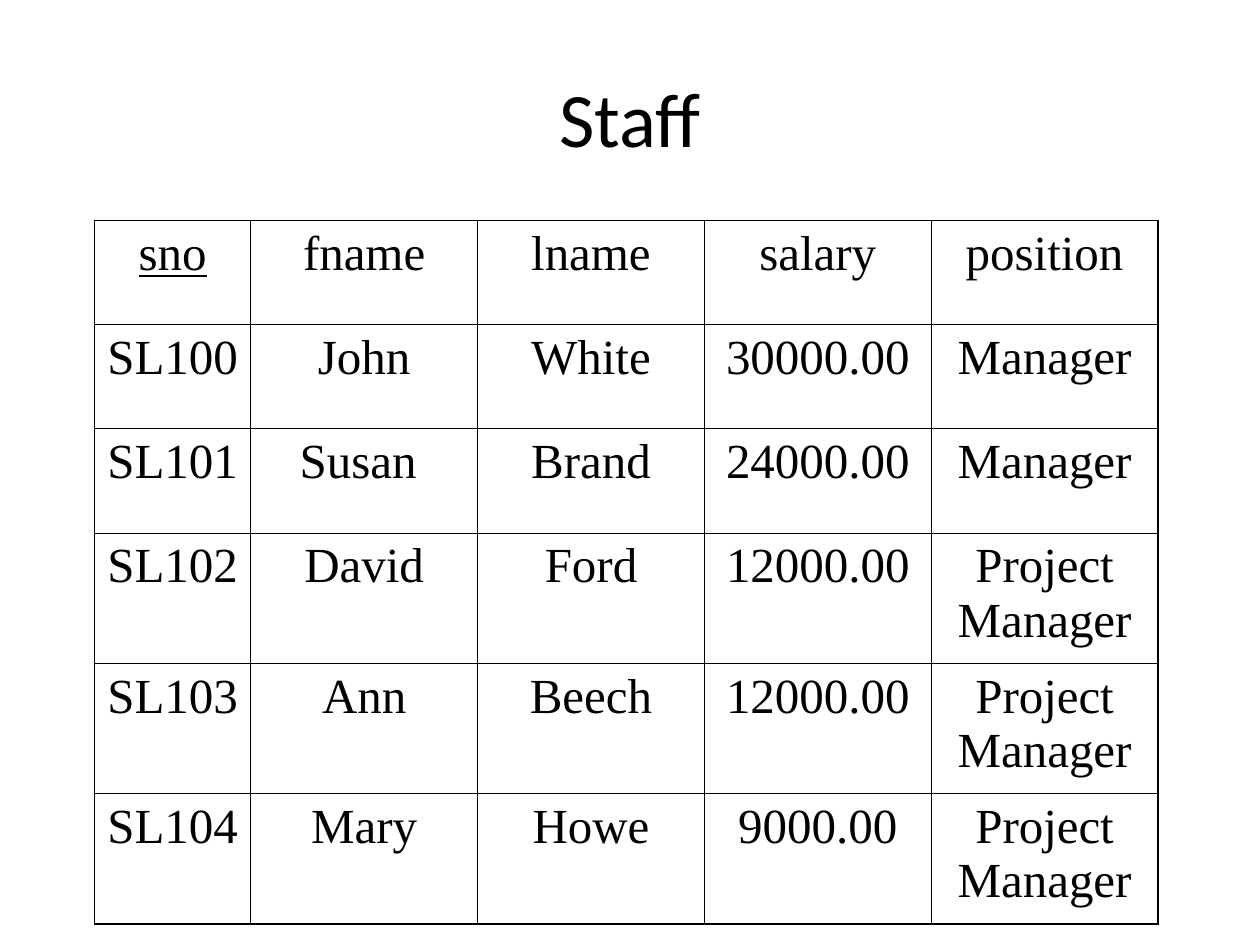
import pptx
import pptx.dml.color
import pptx.enum.text
import pptx.util
from lxml import etree
from pptx.oxml.ns import qn

Pt = pptx.util.Pt

TITLE = "Staff"
STAFF = [
    ("sno", "fname", "lname", "salary", "position"),
    ("SL100", "John", "White", "30000.00", "Manager"),
    ("SL101", "Susan ", "Brand", "24000.00", "Manager"),
    ("SL102", "David", "Ford", "12000.00", "Project Manager"),
    ("SL103", "Ann", "Beech", "12000.00", "Project Manager"),
    ("SL104", "Mary", "Howe", "9000.00", "Project Manager"),
]
KEY_FIELD = "sno"
COLUMN_WIDTHS = [89.3] + [129.6] * 4
ROW_HEIGHTS = [59.5] * 3 + [74.4] * 3
INK = "000000"
OUTER_LINE, INNER_LINE = 1.08, 0.45


def color(value):
    return pptx.dml.color.RGBColor.from_string(value)


def write(frame, text, font="Times New Roman", size=28, ink=INK,
          underline=False, space_before=0):
    frame.word_wrap = True
    paragraph = frame.paragraphs[0]
    paragraph.alignment = pptx.enum.text.PP_ALIGN.CENTER
    paragraph.space_before = Pt(space_before)
    run = paragraph.add_run()
    run.text = text
    run.font.name = font
    run.font.size = Pt(size)
    run.font.underline = underline
    run.font.color.rgb = color(ink)


def draw_borders(cell, widths):
    properties = cell._tc.get_or_add_tcPr()
    for position, (side, width) in enumerate(widths.items()):
        line = etree.Element(qn(f"a:ln{side}"), w=str(Pt(width)))
        fill = etree.SubElement(line, qn("a:solidFill"))
        etree.SubElement(fill, qn("a:srgbClr"), val=INK)
        properties.insert(position, line)


def main():
    deck = pptx.Presentation()
    deck.slide_width, deck.slide_height = Pt(720), Pt(540)
    slide = deck.slides.add_slide(deck.slide_layouts[6])

    title = slide.shapes.add_textbox(Pt(36), Pt(21.6), Pt(648), Pt(90)).text_frame
    title.vertical_anchor = pptx.enum.text.MSO_ANCHOR.MIDDLE
    write(title, TITLE, font="Calibri", size=44)

    staff_table = slide.shapes.add_table(
        len(STAFF), len(COLUMN_WIDTHS), Pt(54), Pt(126),
        Pt(sum(COLUMN_WIDTHS)), Pt(sum(ROW_HEIGHTS))).table
    staff_table.first_row = staff_table.horz_banding = False
    for column, width in zip(staff_table.columns, COLUMN_WIDTHS):
        column.width = Pt(width)
    for row, height in zip(staff_table.rows, ROW_HEIGHTS):
        row.height = Pt(height)

    last_row, last_column = len(STAFF) - 1, len(COLUMN_WIDTHS) - 1
    for r, record in enumerate(STAFF):
        for c, value in enumerate(record):
            cell = staff_table.cell(r, c)
            cell.fill.background()
            write(cell.text_frame, value, underline=value == KEY_FIELD, space_before=7)
            on_edge = {"L": c == 0, "R": c == last_column,
                       "T": r == 0, "B": r == last_row}
            draw_borders(cell, {side: OUTER_LINE if edge else INNER_LINE
                                for side, edge in on_edge.items()})

    deck.save("out.pptx")


if __name__ == "__main__":
    main()
